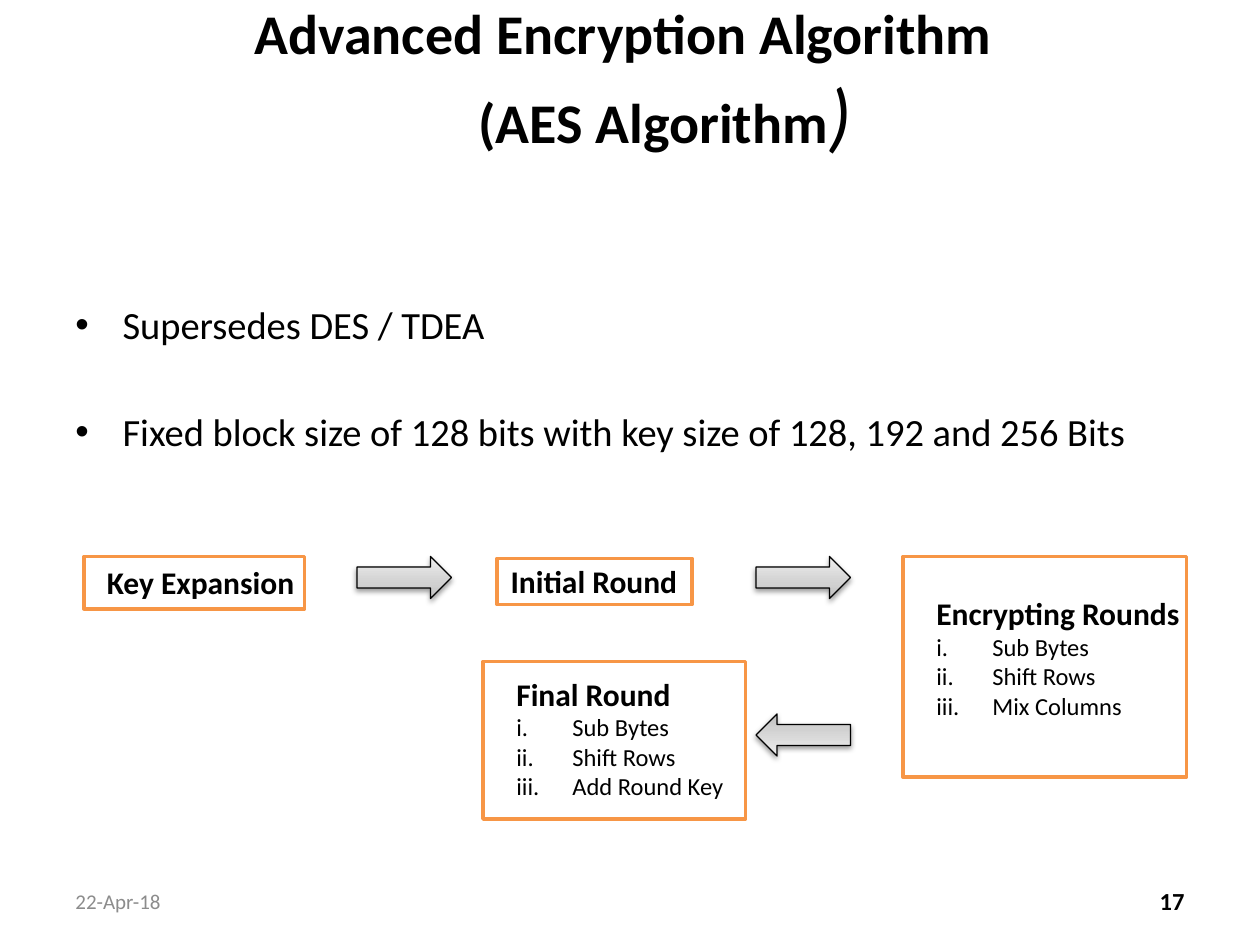
from lxml import etree
from pptx import Presentation
from pptx.dml.color import RGBColor
from pptx.enum import shapes, text
from pptx.oxml import ns
from pptx.util import Pt

BLACK = RGBColor(0x00, 0x00, 0x00)
GREY = RGBColor(0x8C, 0x8C, 0x8C)
ORANGE = RGBColor(0xF7, 0x96, 0x46)
ARROW_STOPS = [(0, RGBColor(0xBD, 0xBD, 0xBD)), (35, RGBColor(0xD1, 0xD1, 0xD1)),
               (100, RGBColor(0xEE, 0xEE, 0xEE))]
HEADING = {"size": Pt(18), "bold": True}
STEP = {"size": Pt(14)}


def add_element(parent, tag, **attributes):
    return etree.SubElement(parent, ns.qn(tag), attributes)


def add_run(paragraph, words, font_format):
    run = paragraph.add_run()
    run.text = words
    run.font.color.rgb = BLACK
    for name, value in {"name": "Calibri", **font_format}.items():
        setattr(run.font, name, value)
    return run


def add_text_frame(slide, box, **frame_format):
    frame = slide.shapes.add_textbox(*map(Pt, box)).text_frame
    for name, value in {"word_wrap": True, **frame_format}.items():
        setattr(frame, name, value)
    return frame


def set_list_format(paragraph, indent, tag=None, **bullet):
    properties = paragraph._p.get_or_add_pPr()
    properties.set("marL", str(Pt(indent)))
    properties.set("indent", str(-Pt(indent)))
    if tag:
        if tag == "a:buChar":
            add_element(properties, "a:buFont", typeface="Arial")
        add_element(properties, tag, **bullet)


def add_title(slide, box):
    frame = add_text_frame(slide, box, vertical_anchor=text.MSO_ANCHOR.MIDDLE)
    paragraph = frame.paragraphs[0]
    paragraph.alignment = text.PP_ALIGN.CENTER
    set_list_format(paragraph, 40)
    title_format = {"size": Pt(32), "bold": True}
    add_run(paragraph, "Advanced Encryption Algorithm ", title_format)
    paragraph.add_line_break()
    add_run(paragraph, "(AES Algorithm", title_format)
    add_run(paragraph, ")", {"size": Pt(44), "italic": True})


def add_bullets(slide, box, lines):
    frame = add_text_frame(slide, box, margin_top=Pt(76))
    for index, line in enumerate(lines):
        paragraph = frame.paragraphs[0] if index == 0 else frame.add_paragraph()
        paragraph.space_before = Pt(35 if index else 0)
        set_list_format(paragraph, 27, "a:buChar", char="•")
        add_run(paragraph, line, {"size": Pt(22)})


def add_stage(slide, box, text_box, heading, steps=()):
    """Outlined box with a heading and numbered steps; text_box is relative to box."""
    left, top = box[:2]
    label_box = (left + text_box[0], top + text_box[1], *text_box[2:])
    frame = add_text_frame(slide, label_box, word_wrap=False)
    add_run(frame.paragraphs[0], heading, HEADING)
    for step in steps:
        paragraph = frame.add_paragraph()
        set_list_format(paragraph, 32, "a:buAutoNum", type="romanLcPeriod")
        add_run(paragraph, step, STEP)

    outline = slide.shapes.add_shape(shapes.MSO_SHAPE.RECTANGLE, *map(Pt, box))
    outline.shadow.inherit = False
    outline.fill.background()
    outline.line.color.rgb = ORANGE
    outline.line.width = Pt(2)


def add_arrow(slide, left, top, rotation=0):
    arrow = slide.shapes.add_shape(shapes.MSO_SHAPE.RIGHT_ARROW,
                                   Pt(left), Pt(top), Pt(54), Pt(24))
    arrow.rotation = rotation
    arrow.line.color.rgb = BLACK
    arrow.line.width = Pt(0.75)

    # Three-stop gradient
    gradient = etree.Element(ns.qn("a:gradFill"), rotWithShape="1")
    stops = add_element(gradient, "a:gsLst")
    for position, color in ARROW_STOPS:
        stop = add_element(stops, "a:gs", pos=str(position * 1000))
        add_element(stop, "a:srgbClr", val=str(color))
    add_element(gradient, "a:lin", ang=str(270 * 60000), scaled="1")
    properties = arrow._element.spPr
    properties.find(ns.qn("a:ln")).addprevious(gradient)

    # Soft shadow below
    effects = add_element(properties, "a:effectLst")
    shadow = add_element(effects, "a:outerShdw", blurRad=str(Pt(3.1)), dist=str(Pt(1.6)),
                         dir=str(90 * 60000), rotWithShape="0")
    color = add_element(shadow, "a:srgbClr", val=str(BLACK))
    add_element(color, "a:alpha", val="38000")


def add_flow(slide, left, top):
    """Four cipher stages joined by arrows."""
    add_stage(slide, (left, top, 126, 30), (6, 0, 122, 29), "Key Expansion")
    add_stage(slide, (left + 236, top + 1, 111.5, 26.5), (0.7, -1.5, 111, 29), "Initial Round")
    add_stage(slide, (left + 468, top, 162, 126), (12, 18, 155, 80), "Encrypting Rounds",
              ("Sub Bytes", "Shift Rows", "Mix Columns"))
    add_stage(slide, (left + 228, top + 60, 150, 90), (12, 4, 133, 80), "Final Round",
              ("Sub Bytes", "Shift Rows", "Add Round Key"))
    add_arrow(slide, left + 156, top)
    add_arrow(slide, left + 384, top)
    add_arrow(slide, left + 384, top + 90, rotation=180)


def add_footer(slide, box, words, alignment, font_format):
    frame = add_text_frame(slide, box, vertical_anchor=text.MSO_ANCHOR.MIDDLE)
    frame.paragraphs[0].alignment = alignment
    return add_run(frame.paragraphs[0], words, font_format)


def main():
    presentation = Presentation()
    presentation.slide_width, presentation.slide_height = Pt(720), Pt(540)
    slide = presentation.slides.add_slide(presentation.slide_layouts[6])

    add_title(slide, (36, 0, 648, 90))
    add_bullets(slide, (36, 96, 648, 198), (
        "Supersedes DES / TDEA",
        "Fixed block size of 128 bits with key size of 128, 192 and 256 Bits"))
    add_flow(slide, 48, 318)

    # Page number and date
    add_footer(slide, (516, 500.5, 168, 28.75), "17", text.PP_ALIGN.RIGHT,
               {"size": Pt(14), "bold": True})
    date = add_footer(slide, (36, 500.5, 168, 28.75), "22-Apr-18", text.PP_ALIGN.LEFT,
                      {"size": Pt(12)})
    date.font.color.rgb = GREY

    presentation.save("out.pptx")


if __name__ == "__main__":
    main()
